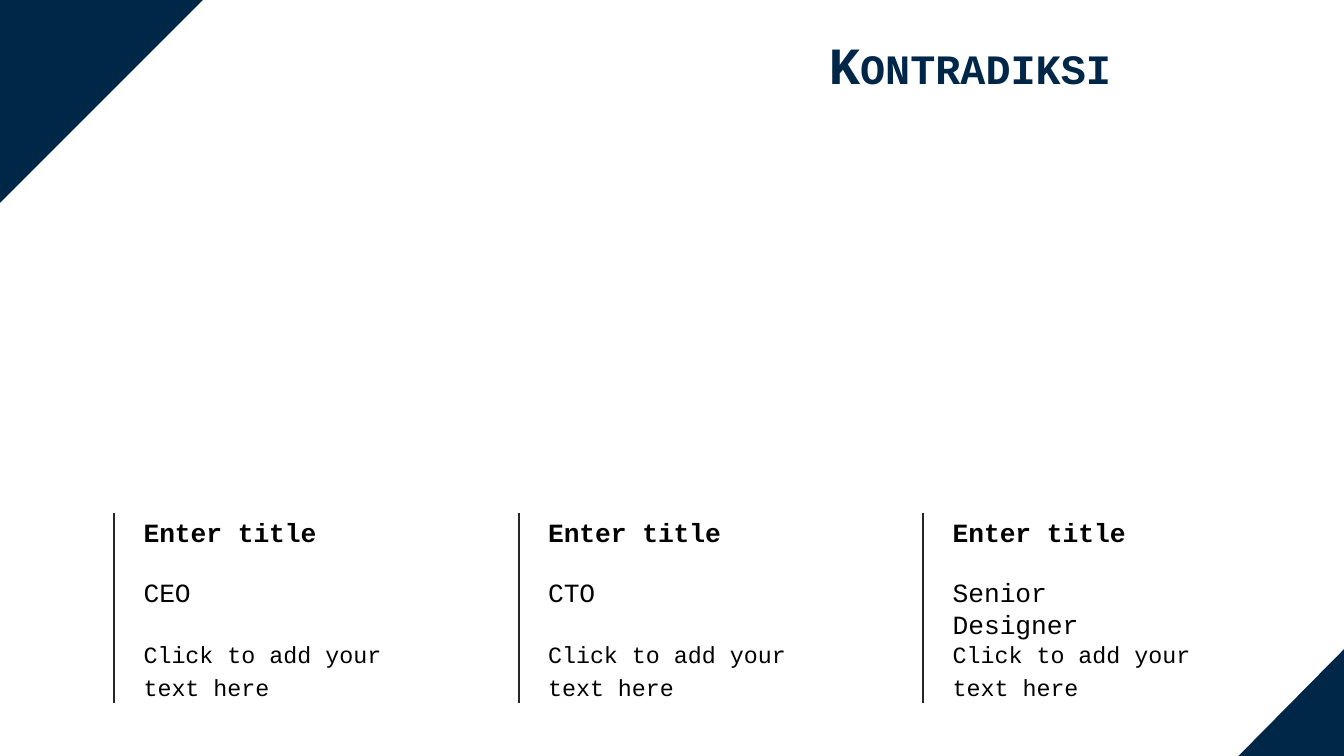
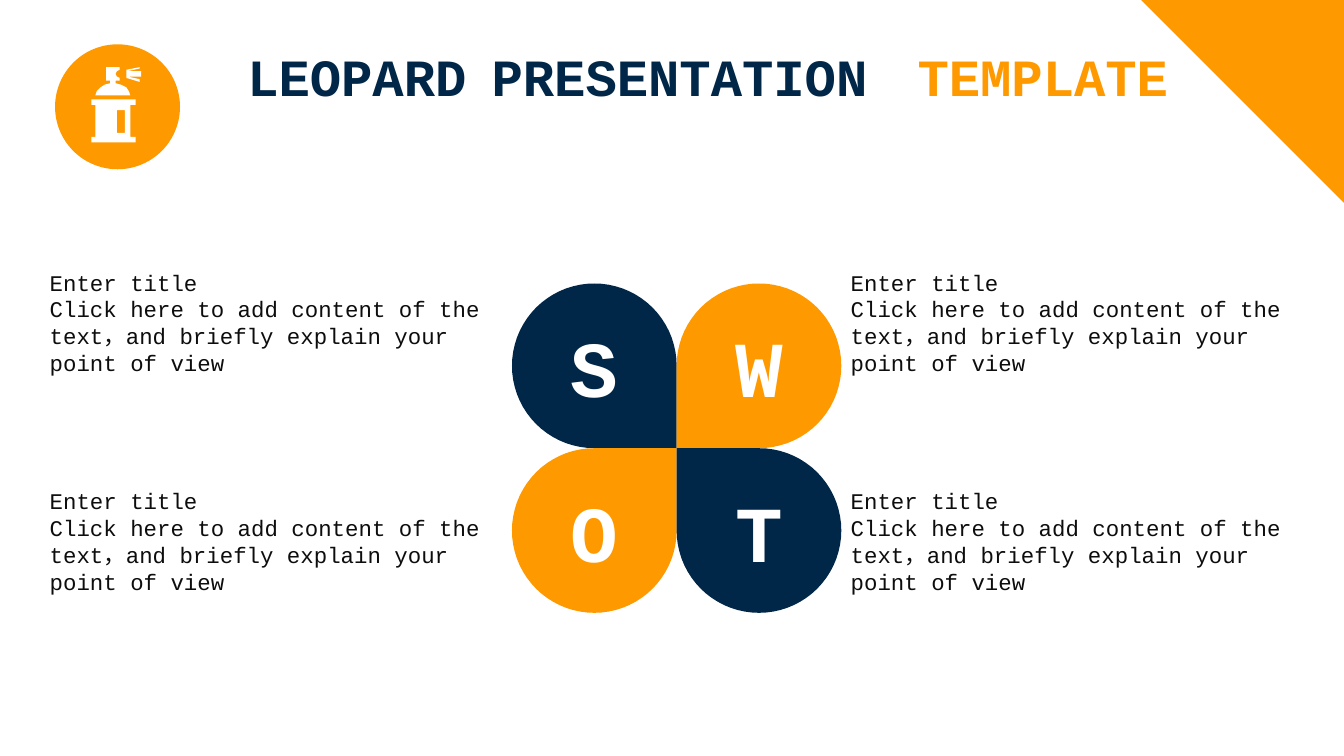
from dataclasses import dataclass
from math import cos, radians, sin
from typing import NamedTuple

from lxml.etree import SubElement
from pptx import Presentation
from pptx.dml.color import RGBColor
from pptx.enum.shapes import MSO_CONNECTOR, MSO_SHAPE
from pptx.enum.text import MSO_ANCHOR, MSO_AUTO_SIZE, PP_ALIGN
from pptx.oxml.ns import qn
from pptx.shapes.autoshape import Shape
from pptx.slide import Slide
from pptx.text.text import TextFrame, _Paragraph
from pptx.util import Inches, Pt


@dataclass(frozen=True)
class Theme:
    font: str = "Courier New"
    navy: str = "002748"
    orange: str = "FF9900"
    white: str = "FFFFFF"
    black: str = "000000"
    ink: str = "0D0D0D"
    rule: str = "262626"
    title: float = 28
    letter: float = 42.5
    head: float = 14.1
    body: float = 12.5
    note: float = 12


THEME = Theme()


class Box(NamedTuple):
    left: float
    top: float
    width: float
    height: float


class Member(NamedTuple):
    role: str
    width: float


class Petal(NamedTuple):
    letter: str
    color: str
    across: int
    down: int


class Part(NamedTuple):
    text: str
    color: str
    gap: float = 0


MEMBERS = [Member("CEO", 1.1), Member("CTO", 1.1), Member("Senior Designer", 1.84)]
PETALS = [
    Petal("S", THEME.navy, -1, -1),
    Petal("W", THEME.orange, 1, -1),
    Petal("O", THEME.orange, -1, 1),
    Petal("T", THEME.navy, 1, 1),
]
FLOWER = Box(3.81, 2.11, 2.45, 2.45)
HUB = (FLOWER.left + FLOWER.width / 2, FLOWER.top + FLOWER.height / 2)
RADIUS = FLOWER.width / 4

Points = list[tuple[float, float]]
CAN: Points = [
    (0.97, 0.78), (0.97, 1.02), (1.01, 1.02), (1.01, 1.06), (0.68, 1.06), (0.68, 1.02),
    (0.71, 1.02), (0.71, 0.78), (0.68, 0.78), (0.68, 0.74), (1.01, 0.74), (1.01, 0.78),
]
LABEL: Points = [(0.93, 0.82), (0.87, 0.82), (0.87, 0.99), (0.93, 0.99)]
SPRAY: Points = [
    (1.04, 0.59), (0.95, 0.57), (1.05, 0.57), (1.05, 0.53), (0.95, 0.53),
    (1.04, 0.51), (1.04, 0.5), (0.94, 0.52), (0.94, 0.58), (1.04, 0.61),
]
CAP: Points = [
    (0.86, 0.6), (0.86, 0.62), (0.9, 0.63), (0.94, 0.65), (0.96, 0.68), (0.97, 0.71),
    (0.71, 0.71), (0.72, 0.68), (0.75, 0.65), (0.78, 0.63), (0.82, 0.62), (0.82, 0.6),
    (0.79, 0.6), (0.79, 0.5), (0.89, 0.5), (0.89, 0.52), (0.87, 0.53), (0.86, 0.55),
    (0.87, 0.57), (0.89, 0.58), (0.89, 0.6),
]


def rgb(color: str) -> RGBColor:
    return RGBColor.from_string(color)


def paint(shape: Shape, color: str) -> None:
    shape.shadow.inherit = False
    shape.fill.solid()
    shape.fill.fore_color.rgb = rgb(color)
    shape.line.fill.background()


def style(para: _Paragraph, size: float, color: str, bold: bool = False) -> None:
    para.font.name = THEME.font
    para.font.size = Pt(size)
    para.font.bold = bold
    para.font.color.rgb = rgb(color)


def add_box(slide: Slide, box: Box) -> TextFrame:
    frame = slide.shapes.add_textbox(*map(Inches, box)).text_frame
    frame.word_wrap = True
    return frame


def add_text(slide: Slide, box: Box, text: str, size: float, bold: bool = False,
             spacing: float = 1) -> None:
    frame = add_box(slide, box)
    frame.auto_size = MSO_AUTO_SIZE.SHAPE_TO_FIT_TEXT
    para = frame.paragraphs[0]
    para.text = text
    para.line_spacing = spacing
    style(para, size, THEME.black, bold)


def add_title(slide: Slide, box: Box, parts: list[Part], align: PP_ALIGN) -> None:
    """Draw a small-caps heading; a part's gap is extra tracking in points."""
    frame = add_box(slide, box)
    frame.auto_size = MSO_AUTO_SIZE.SHAPE_TO_FIT_TEXT
    frame.margin_left = frame.margin_right = Inches(0.06)
    frame.margin_top = frame.margin_bottom = Inches(0.03)
    para = frame.paragraphs[0]
    para.alignment = align
    style(para, THEME.title, parts[0].color, True)
    para._p.pPr.find(qn("a:defRPr")).set("cap", "small")
    for part in parts:
        run = para.add_run()
        run.text = part.text
        if part.color != parts[0].color:
            run.font.color.rgb = rgb(part.color)
        if part.gap:
            run._r.get_or_add_rPr().set("spc", str(round(part.gap * 100)))


def add_corner(slide: Slide, box: Box, turn: int, color: str) -> None:
    shape = slide.shapes.add_shape(MSO_SHAPE.RIGHT_TRIANGLE, *map(Inches, box))
    shape.rotation = turn
    paint(shape, color)


def add_outline(shapes, loops: list[Points], color: str) -> Shape:
    """Draw closed loops, given in inches, as one freeform."""
    first, *others = [[(Inches(x), Inches(y)) for x, y in loop] for loop in loops]
    pen = shapes.build_freeform(*first[0])
    pen.add_line_segments(first[1:])
    for loop in others:
        pen.move_to(*loop[0])
        pen.add_line_segments(loop[1:])
    shape = pen.convert_to_shape()
    paint(shape, color)
    return shape


def add_rule(slide: Slide, x: float, top: float, bottom: float) -> None:
    line = slide.shapes.add_connector(
        MSO_CONNECTOR.STRAIGHT, Inches(x), Inches(top), Inches(x), Inches(bottom))
    line.line.color.rgb = rgb(THEME.rule)
    line.line.width = Pt(1)
    SubElement(line._element.spPr, qn("a:effectLst"))


def add_member(slide: Slide, x: float, member: Member) -> None:
    add_rule(slide, x, 3.82, 5.23)
    left = x + 0.12
    add_text(slide, Box(left, 3.79, 1.97, 0.54), "Enter title", THEME.head, True)
    add_text(slide, Box(left, 4.24, member.width, 0.35), member.role, THEME.head)
    add_text(slide, Box(left, 4.67, 2.16, 0.34), "Click to add your text here",
             THEME.body, spacing=1.2)


def add_petal(slide: Slide, petal: Petal) -> None:
    x = HUB[0] + petal.across * RADIUS
    y = HUB[1] + petal.down * RADIUS
    angles = [radians(step) for step in range(-90, 181, 5)]
    curve = [(x + petal.across * RADIUS * cos(a), y + petal.down * RADIUS * sin(a))
             for a in angles]
    shape = add_outline(slide.shapes, [curve + [HUB]], petal.color)
    shape.text_frame.vertical_anchor = MSO_ANCHOR.MIDDLE
    para = shape.text_frame.paragraphs[0]
    para.text = petal.letter
    para.alignment = PP_ALIGN.CENTER
    style(para, THEME.letter, THEME.white, True)


def add_note(slide: Slide, box: Box) -> None:
    frame = add_box(slide, box)
    frame.vertical_anchor = MSO_ANCHOR.MIDDLE
    frame.margin_left = frame.margin_right = frame.margin_top = 0
    frame.margin_bottom = Inches(0.22)
    para = frame.paragraphs[0]
    para.text = ("Enter title\vClick here to add content of the text，"
                 "and briefly explain your point of view")
    style(para, THEME.note, THEME.ink)


def add_badge(slide: Slide) -> None:
    shapes = slide.shapes.add_group_shape().shapes
    disc = shapes.add_shape(MSO_SHAPE.OVAL, *map(Inches, Box(0.41, 0.33, 0.93, 0.93)))
    paint(disc, THEME.orange)
    add_outline(shapes, [CAN, LABEL, SPRAY, CAP], THEME.white)


def draw_team(slide: Slide) -> None:
    add_corner(slide, Box(-0.02, -0.01, 1.54, 1.54), 90, THEME.navy)
    add_title(slide, Box(4.92, 0.21, 3.41, 0.51), [Part("Kontradiksi", THEME.navy)],
              PP_ALIGN.RIGHT)
    for index, member in enumerate(MEMBERS):
        add_member(slide, 0.85 + index * 3.01, member)
    add_corner(slide, Box(9.17, 4.81, 0.86, 0.85), 270, THEME.navy)


def draw_swot(slide: Slide) -> None:
    add_badge(slide)
    add_corner(slide, Box(8.48, -0.01, 1.54, 1.54), 180, THEME.orange)
    parts = [
        Part("LEOPARD PRESENTATION", THEME.navy),
        Part(" ", THEME.navy, 6.7),
        Part("TEMPLATE", THEME.orange),
    ]
    add_title(slide, Box(1.78, 0.3, 5.98, 1), parts, PP_ALIGN.LEFT)
    for petal in PETALS:
        add_petal(slide, petal)
    for left in (0.37, 6.33):
        for top, height in ((1.73, 1.56), (3.38, 1.51)):
            add_note(slide, Box(left, top, 3.26, height))


def main() -> None:
    deck = Presentation()
    deck.slide_width = Inches(10)
    deck.slide_height = deck.slide_width * 9 // 16
    for draw in (draw_team, draw_swot):
        draw(deck.slides.add_slide(deck.slide_layouts[6]))
    deck.save("out.pptx")


if __name__ == "__main__":
    main()
